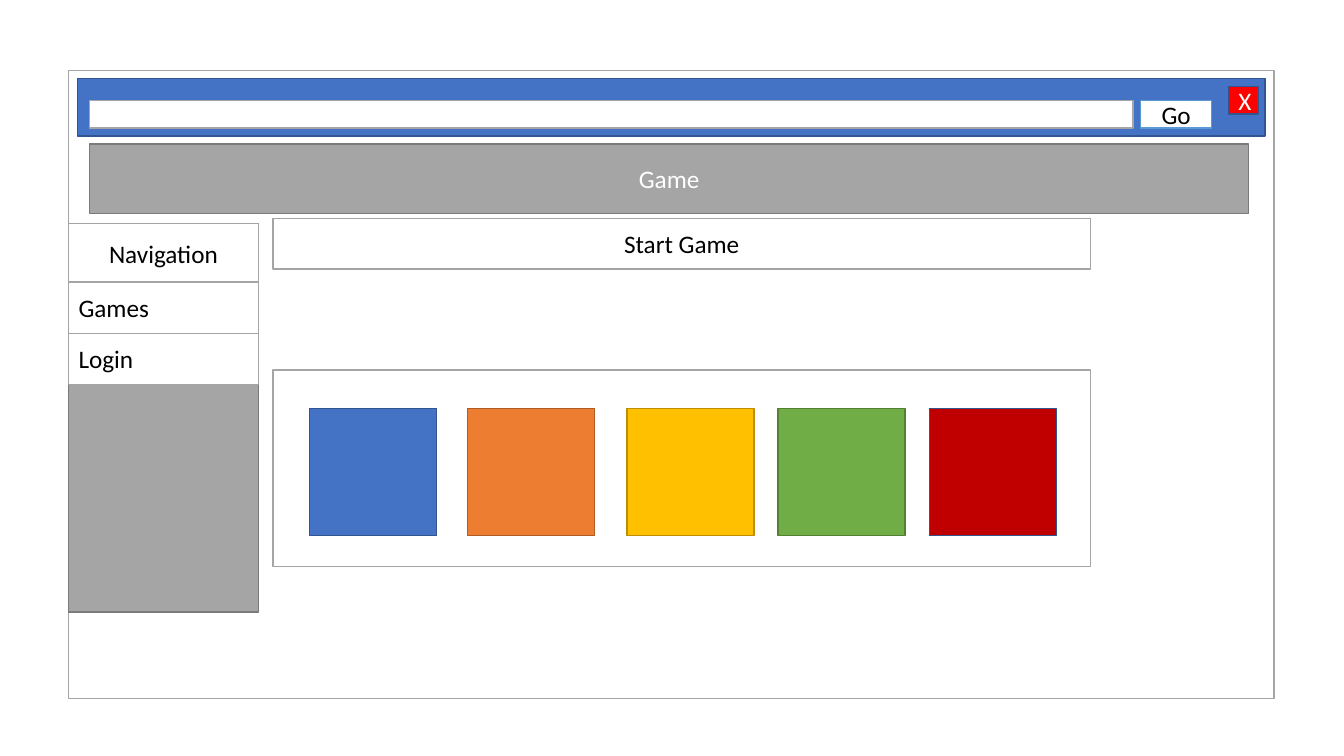
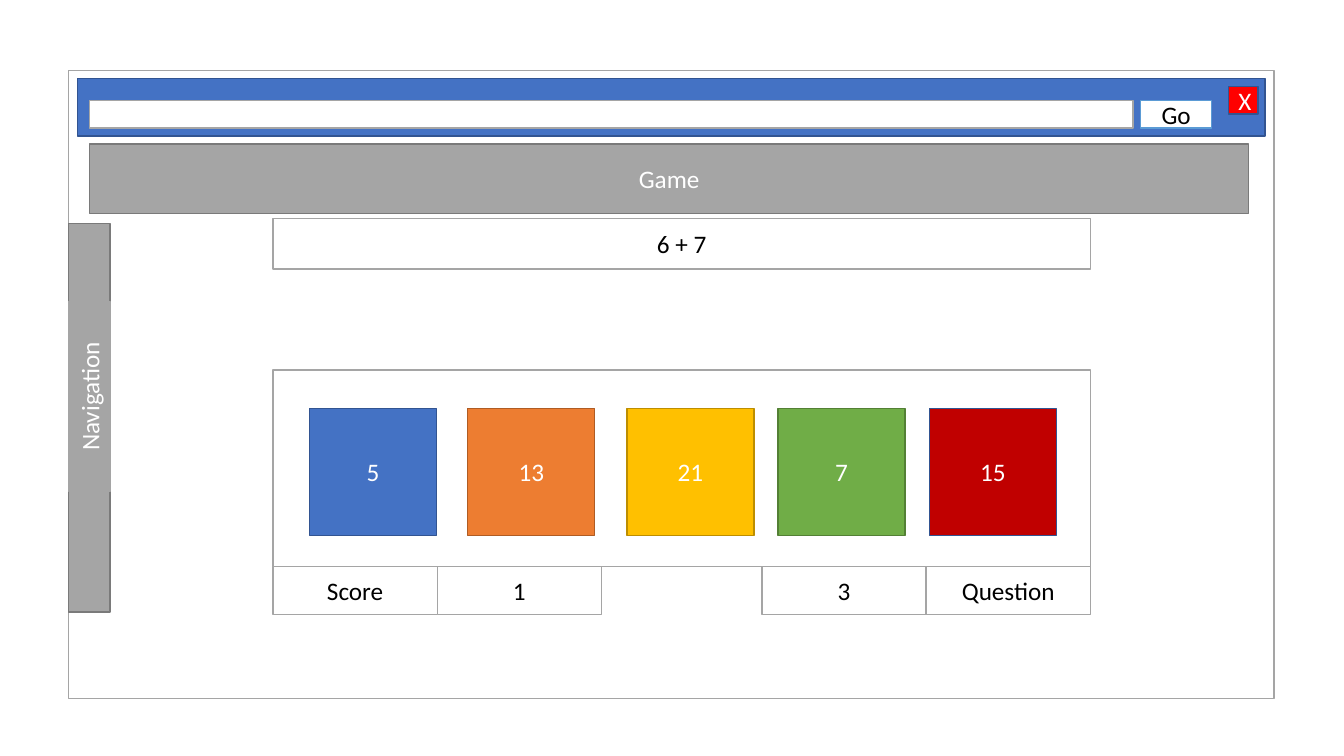
from pptx import Presentation
from pptx import util as u
from pptx.dml.color import RGBColor
from pptx.enum import shapes, text

WHITE = RGBColor(0xFF, 0xFF, 0xFF)
BLACK = RGBColor(0x00, 0x00, 0x00)
GRAY = RGBColor(0xA5, 0xA5, 0xA5)
DARK_GRAY = RGBColor(0x7A, 0x7A, 0x7A)
BLUE = RGBColor(0x44, 0x72, 0xC4)
DARK_BLUE = RGBColor(0x32, 0x54, 0x91)
LIGHT_BLUE = RGBColor(0x5B, 0x9B, 0xD5)
ORANGE = RGBColor(0xED, 0x7D, 0x31)
DARK_ORANGE = RGBColor(0xAF, 0x5C, 0x24)
GOLD = RGBColor(0xFF, 0xC0, 0x00)
DARK_GOLD = RGBColor(0xBD, 0x8E, 0x00)
GREEN = RGBColor(0x70, 0xAD, 0x47)
DARK_GREEN = RGBColor(0x53, 0x80, 0x35)
CRIMSON = RGBColor(0xC0, 0x00, 0x00)
RED = RGBColor(0xFF, 0x00, 0x00)

CENTER, LEFT = text.PP_ALIGN.CENTER, text.PP_ALIGN.LEFT
FRAME_X, NAV_Y, NAV_W, NAV_H = 1.73, 5.64, 4.78, 9.78
STRIP_W = 1.04
BAR_X = 2.26
MAIN_X, MAIN_W = 6.88, 20.6
PANEL_Y, PANEL_H = 9.32, 4.95
TILE_Y, TILE_SIZE = 10.29, 3.2
CELL_W, CELL_H = 4.14, 1.22
TILES = [
    (7.8, BLUE, DARK_BLUE),
    (11.79, ORANGE, DARK_ORANGE),
    (15.8, GOLD, DARK_GOLD),
    (19.61, GREEN, DARK_GREEN),
    (23.42, CRIMSON, DARK_BLUE),
]


class Wireframe:
    """Hold the wireframe style and draw on the current slide."""

    font = {"name": "Calibri", "size": u.Pt(18)}

    def __init__(self, prs):
        self.prs = prs
        self.s = None

    def box(self, x, y, w, h, label="", fill=WHITE, line=GRAY, color=BLACK, align=CENTER):
        """Draw a rectangle with an optional label."""
        sp = self.s.shapes.add_shape(
            shapes.MSO_SHAPE.RECTANGLE, u.Cm(x), u.Cm(y), u.Cm(w), u.Cm(h))
        sp.shadow.inherit = False
        if fill is None:
            sp.fill.background()
        else:
            sp.fill.solid()
            sp.fill.fore_color.rgb = fill
        sp.line.color.rgb = line
        sp.line.width = u.Pt(1)
        if label:
            tf = sp.text_frame
            tf.word_wrap = True
            tf.vertical_anchor = text.MSO_ANCHOR.MIDDLE
            p = tf.paragraphs[0]
            p.alignment = align
            r = p.add_run()
            r.text = label
            for key, value in self.font.items():
                setattr(r.font, key, value)
            r.font.color.rgb = color
        return sp

    def page(self, prompt, answers):
        """Add a slide with the browser window, prompt and answer tiles."""
        self.s = self.prs.slides.add_slide(self.prs.slide_layouts[6])
        self.box(FRAME_X, 1.78, 30.38, 15.82)
        self.box(1.96, 1.98, 29.92, 1.45, fill=BLUE, line=DARK_BLUE)
        self.box(BAR_X, 2.54, 26.29, 0.69)
        self.box(30.96, 2.18, 0.74, 0.69, "X", RED, DARK_BLUE, WHITE)
        self.box(28.75, 2.54, 1.78, 0.69, "Go", line=LIGHT_BLUE)
        self.box(BAR_X, 3.63, 29.21, 1.75, "Game", GRAY, DARK_GRAY, WHITE)
        self.box(MAIN_X, PANEL_Y, MAIN_W, PANEL_H)
        self.box(MAIN_X, 5.51, MAIN_W, 1.27, prompt)
        for (x, fill, line), answer in zip(TILES, answers):
            self.box(x, TILE_Y, TILE_SIZE, TILE_SIZE, answer, fill, line, WHITE)

    def sidebar(self, w):
        """Draw the gray navigation background."""
        self.box(FRAME_X, NAV_Y, w, NAV_H, fill=GRAY, line=DARK_GRAY)

    def menu(self, title, items):
        """Draw the open navigation menu."""
        title_h, item_h = 1.47, 1.29
        self.sidebar(NAV_W)
        for i, item in enumerate(items):
            y = NAV_Y + title_h + i * item_h
            self.box(FRAME_X, y, NAV_W, item_h, item, align=LEFT)
        self.box(FRAME_X, NAV_Y, NAV_W, title_h, title)

    def folded_menu(self, title):
        """Draw the folded navigation strip with its upright title."""
        self.sidebar(STRIP_W)
        x = FRAME_X + (STRIP_W - NAV_W) / 2
        sp = self.box(x, 9.47, NAV_W, STRIP_W, title, fill=None, color=WHITE)
        sp.rotation = 270

    def status(self, left, right):
        """Draw label cells under both ends of the answer panel."""
        right_x = MAIN_X + MAIN_W - len(right) * CELL_W
        for start, labels in ((MAIN_X, left), (right_x, right)):
            for i, label in enumerate(labels):
                self.box(start + i * CELL_W, PANEL_Y + PANEL_H, CELL_W, CELL_H, label)


def main():
    """Build both game screens."""
    prs = Presentation()
    prs.slide_width, prs.slide_height = u.Cm(33.87), u.Cm(19.05)
    wf = Wireframe(prs)

    wf.page("Start Game", [""] * len(TILES))
    wf.menu("Navigation", ["Games", "Login"])

    wf.page("6 + 7", ["5", "13", "21", "7", "15"])
    wf.status(["Score", "1"], ["3", "Question"])
    wf.folded_menu("Navigation")

    prs.save("out.pptx")


if __name__ == "__main__":
    main()
